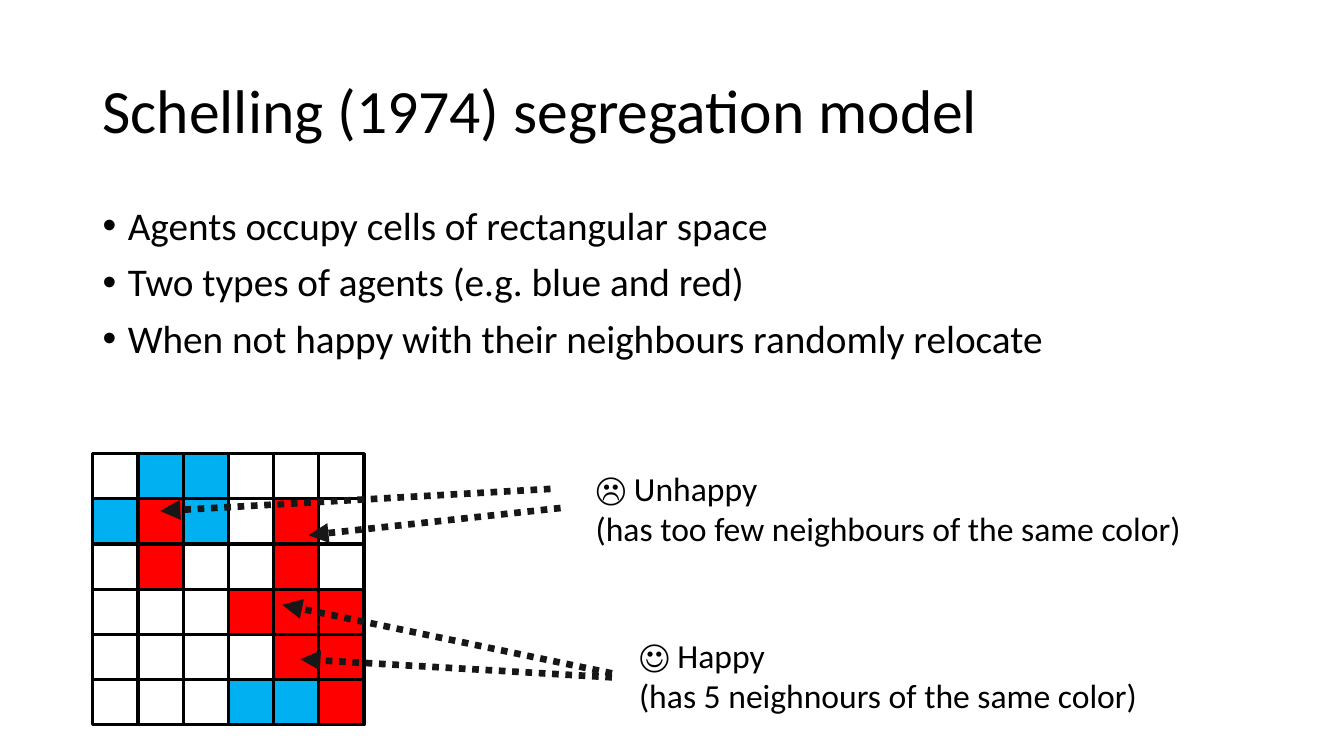
from lxml.etree import SubElement
from pptx import Presentation
from pptx.dml.color import RGBColor
from pptx.enum.dml import MSO_LINE
from pptx.enum.shapes import MSO_CONNECTOR, MSO_SHAPE
from pptx.enum.text import MSO_ANCHOR, MSO_AUTO_SIZE, PP_ALIGN
from pptx.oxml.ns import qn
from pptx.util import Inches, Pt

COLORS = {
    "text": "000000",
    "border": "000000",
    "arrow": "181717",
    "empty": "FFFFFF",
    "blue": "00B0F0",
    "red": "FF0000",
}
AGENTS = {".": "empty", "B": "blue", "R": "red"}
SPACE = [
    ".BB...",
    "BRB.R.",
    ".R..R.",
    "...RRR",
    "....RR",
    "...BBR",
]
SPACE_LEFT, SPACE_TOP, SPACE_SIZE = 0.92, 4.5, 2.69

RULES = [
    "Agents occupy cells of rectangular space",
    "Two types of agents (e.g. blue and red)",
    "When not happy with their neighbours randomly relocate",
]
MOODS = [
    ((5.81, 4.59, 6.13, 0.91),
     ["☹ Unhappy", "(has too few neighbours of the same color)"]),
    ((6.24, 6.25, 5.18, 0.91),
     ["☺ Happy", "(has 5 neighnours of the same color)"]),
]
POINTERS = [
    ((5.46, 4.85), (1.59, 5.07)),
    ((5.56, 5.04), (3.06, 5.31)),
    ((6.07, 6.68), (2.8, 6)),
    ((6.07, 6.72), (2.98, 6.54)),
]

HEADING_FRAME = {"word_wrap": True, "vertical_anchor": MSO_ANCHOR.MIDDLE}
RULES_FRAME = {"word_wrap": True, "vertical_anchor": MSO_ANCHOR.TOP}
MOOD_FRAME = {"word_wrap": False, "auto_size": MSO_AUTO_SIZE.SHAPE_TO_FIT_TEXT}
HEADING_FORMAT = {"line_spacing": 0.9}
RULES_FORMAT = {"line_spacing": 0.9, "space_before": Pt(10)}


def apply(target, values):
    for name, value in values.items():
        setattr(target, name, value)


class SlideBuilder:
    font = "Calibri"

    def __init__(self, slide):
        self.slide = slide

    def color(self, name):
        return RGBColor.from_string(COLORS[name])

    def text(self, box, lines, size, frame_format, paragraph_format=None, bullet=False):
        frame = self.slide.shapes.add_textbox(*map(Inches, box)).text_frame
        apply(frame, frame_format)
        for index, line in enumerate(lines):
            paragraph = frame.add_paragraph() if index else frame.paragraphs[0]
            apply(paragraph, {"alignment": PP_ALIGN.LEFT, **(paragraph_format or {})})
            if bullet:
                self.bullet(paragraph)
            run = paragraph.add_run()
            run.text = line
            apply(run.font, {"name": self.font, "size": Pt(size)})
            run.font.color.rgb = self.color("text")

    def bullet(self, paragraph):
        properties = paragraph._p.get_or_add_pPr()
        properties.set("marL", str(Inches(0.25)))
        properties.set("indent", str(-Inches(0.25)))
        SubElement(properties, qn("a:buFont"), typeface="Arial")
        SubElement(properties, qn("a:buChar"), char="•")

    def cell(self, left, top, size, fill):
        square = self.slide.shapes.add_shape(
            MSO_SHAPE.RECTANGLE, *map(Inches, (left, top, size, size)))
        square.shadow.inherit = False
        square.fill.solid()
        square.fill.fore_color.rgb = self.color(fill)
        square.line.color.rgb = self.color("border")
        square.line.width = Pt(2.25)

    def arrow(self, start, end):
        pointer = self.slide.shapes.add_connector(
            MSO_CONNECTOR.STRAIGHT, *map(Inches, (*start, *end)))
        pointer.line.color.rgb = self.color("arrow")
        apply(pointer.line, {"width": Pt(4.75), "dash_style": MSO_LINE.ROUND_DOT})
        SubElement(pointer.line._get_or_add_ln(), qn("a:tailEnd"), type="triangle")
        SubElement(pointer._element.spPr, qn("a:effectLst"))


def main():
    deck = Presentation()
    apply(deck, {"slide_width": Inches(13.33), "slide_height": Inches(7.5)})
    builder = SlideBuilder(deck.slides.add_slide(deck.slide_layouts[6]))

    builder.text((0.92, 0.4, 11.5, 1.45), ["Schelling (1974) segregation model"],
                 44, HEADING_FRAME, HEADING_FORMAT)
    builder.text((0.92, 2, 11.5, 1.84), RULES, 28, RULES_FRAME, RULES_FORMAT, bullet=True)

    cell_size = SPACE_SIZE / len(SPACE)
    for row, agents in enumerate(SPACE):
        for column, agent in enumerate(agents):
            builder.cell(SPACE_LEFT + column * cell_size, SPACE_TOP + row * cell_size,
                         cell_size, AGENTS[agent])

    for box, lines in MOODS:
        builder.text(box, lines, 24, MOOD_FRAME)
    for start, end in POINTERS:
        builder.arrow(start, end)

    deck.save("out.pptx")


if __name__ == "__main__":
    main()
